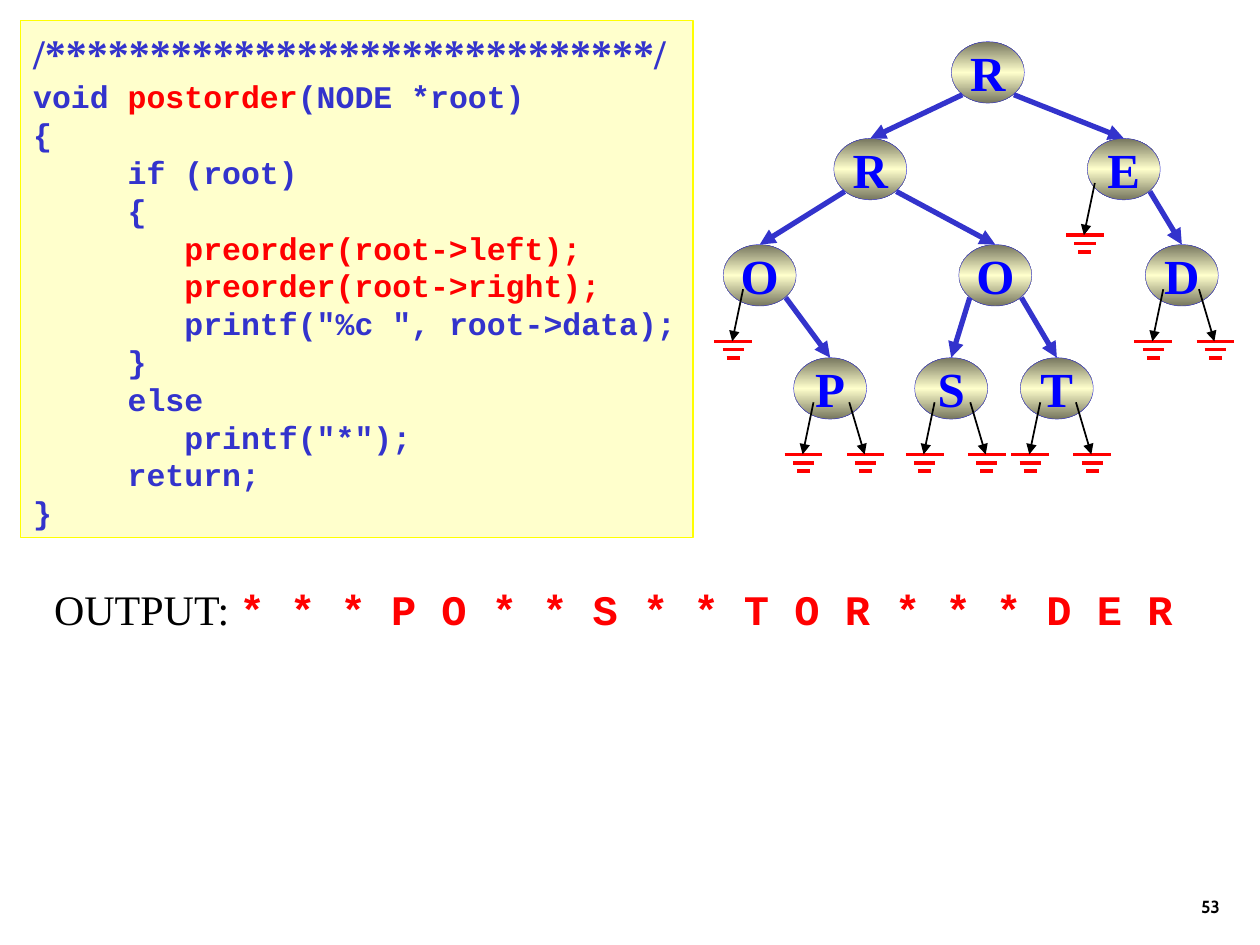
from copy import deepcopy

from lxml import etree
from pptx import Presentation
from pptx.dml.color import RGBColor
from pptx.enum.shapes import MSO_CONNECTOR, MSO_SHAPE
from pptx.enum.text import MSO_ANCHOR, MSO_AUTO_SIZE, PP_ALIGN
from pptx.oxml.ns import qn
from pptx.util import Cm, Pt

STRAIGHT = MSO_CONNECTOR.STRAIGHT
RECTANGLE, OVAL = MSO_SHAPE.RECTANGLE, MSO_SHAPE.OVAL
MIDDLE, BOTTOM = MSO_ANCHOR.MIDDLE, MSO_ANCHOR.BOTTOM
CENTER, RIGHT = PP_ALIGN.CENTER, PP_ALIGN.RIGHT
GROW = MSO_AUTO_SIZE.SHAPE_TO_FIT_TEXT

SERIF, MONO, SANS = "Times New Roman", "Courier New", "Cabin"
BLUE, RED, BLACK, CREAM = "3333CC", "FF0000", "000000", "FFFFCC"
LETTER_BLUE, OLIVE, YELLOW = "0000FF", "76765E", "FFFF00"

BANNER = "/*****************************/"
# Each code line is a list of (text, colour) pieces.
CODE = [
    [("void ", BLUE), ("postorder", RED), ("(NODE *root)", BLUE)],
    [("{", BLUE)],
    [("     if (root)", BLUE)],
    [("     {", BLUE)],
    [("        ", BLUE), ("preorder(root->left);", RED)],
    [("        ", BLUE), ("preorder(root->right);", RED)],
    [('        printf("%c ", root->data);', BLUE)],
    [("     }", BLUE)],
    [("     else", BLUE)],
    [('        printf("*");', BLUE)],
    [("     return;", BLUE)],
    [("}", BLUE)],
]
OUTPUT_LABEL = "OUTPUT: "
OUTPUT = "* * * P O * * S * * T O R * * * D E R"
PAGE_NUMBER = "53"

# key: (letter, left in cm, level, left child, right child, shift of null links)
TREE = {
    "root": ("R", 19.18, 0, "left", "right", 0),
    "left": ("R", 16.81, 1, "left-left", "left-right", 0),
    "right": ("E", 21.92, 1, None, "right-right", -0.25),
    "left-left": ("O", 14.58, 2, None, "P", 0),
    "left-right": ("O", 19.33, 2, "S", "T", 0),
    "right-right": ("D", 23.09, 2, None, None, -0.04),
    "P": ("P", 16, 3, None, None, 0),
    "S": ("S", 18.44, 3, None, None, 0),
    "T": ("T", 20.57, 3, None, None, 0),
}
LEVEL_TOPS = [0.84, 2.79, 4.93, 7.21]
NODE_WIDTH, NODE_HEIGHT = 1.47, 1.24
EDGE_STARTS, EDGE_DROP = (0.22, 1.26), 1.07
NULL_LINKS = ((0.4, 0.18), (1.12, 1.43))  # start and end x, left and right
NULL_START, NULL_END = 0.9, 1.95
GROUND_WIDTHS, GROUND_STEP = (0.76, 0.43, 0.26), 0.17


def rgb(color):
    return RGBColor.from_string(color)


def add_run(paragraph, text, size, font, color, bold=True):
    run = paragraph.add_run()
    run.text = text
    run.font.size, run.font.name, run.font.bold = Pt(size), font, bold
    run.font.color.rgb = rgb(color)


def add_line(shapes, start, end, color, width, arrow=False):
    line = shapes.add_connector(STRAIGHT, *map(Cm, start + end))
    line.line.color.rgb = rgb(color)
    line.line.width = Pt(width)
    if arrow:
        tail = etree.SubElement(line.line._get_or_add_ln(), qn("a:tailEnd"))
        tail.set("type", "triangle")
    etree.SubElement(line._element.spPr, qn("a:effectLst"))
    return line


def add_node(shapes, letter, left, top):
    node = shapes.add_shape(OVAL, Cm(left), Cm(top), Cm(NODE_WIDTH), Cm(NODE_HEIGHT))
    node.shadow.inherit = False
    node.fill.gradient()
    node.fill.gradient_angle = 90
    stop_list = node._element.spPr.find(".//" + qn("a:gsLst"))
    stop_list.append(deepcopy(stop_list[0]))
    for stop, position, color in zip(
        node.fill.gradient_stops, (0, 0.5, 1), (OLIVE, CREAM, OLIVE)
    ):
        stop.position, stop.color.rgb = position, rgb(color)
    node.line.color.rgb = rgb(BLUE)
    node.line.width = Pt(0.25)
    frame = node.text_frame
    frame.word_wrap, frame.vertical_anchor = False, MIDDLE
    frame.paragraphs[0].alignment = CENTER
    add_run(frame.paragraphs[0], letter, 28, SERIF, LETTER_BLUE)
    return node


def add_null_link(shapes, left, top, side):
    """Draw an arrow from a node down to a ground symbol."""
    start_x, end_x = (left + x for x in NULL_LINKS[side])
    ground_top = top + NULL_END
    for row, width in enumerate(GROUND_WIDTHS):
        y = ground_top + row * GROUND_STEP
        add_line(shapes, (end_x + 0.02 - width / 2, y),
                 (end_x + 0.02 + width / 2, y), RED, 2)
    add_line(shapes, (start_x, top + NULL_START), (end_x, ground_top), BLACK, 1, True)


def add_tree(shapes):
    nodes = {
        key: add_node(shapes, letter, left, LEVEL_TOPS[level])
        for key, (letter, left, level, *_) in TREE.items()
    }
    for _, left, level, *children, shift in TREE.values():
        top = LEVEL_TOPS[level]
        for side, child in enumerate(children):
            if child is None:
                add_null_link(shapes, left + shift, top, side)
                continue
            start = (left + EDGE_STARTS[side], top + EDGE_DROP)
            end = (TREE[child][1] + NODE_WIDTH / 2, LEVEL_TOPS[TREE[child][2]])
            edge = add_line(shapes, start, end, BLUE, 3, True)
            edge.end_connect(nodes[child], 0)


def add_code(shapes):
    panel = shapes.add_shape(RECTANGLE, Cm(0.42), Cm(0.42), Cm(13.55), Cm(10.42))
    panel.shadow.inherit = False
    panel.fill.solid()
    panel.fill.fore_color.rgb = rgb(CREAM)
    panel.line.color.rgb = rgb(YELLOW)
    panel.line.width = Pt(0.75)
    frame = panel.text_frame
    frame.word_wrap, frame.auto_size = True, GROW
    frame.vertical_anchor = MSO_ANCHOR.TOP
    frame.paragraphs[0].alignment = PP_ALIGN.LEFT
    add_run(frame.paragraphs[0], BANNER, 24, SERIF, BLUE)
    for pieces in CODE:
        paragraph = frame.add_paragraph()
        paragraph.alignment = PP_ALIGN.LEFT
        paragraph.line_spacing = Pt(21.6)
        for text, color in pieces:
            add_run(paragraph, text, 18, MONO, color)


def main():
    prs = Presentation()
    prs.slide_width, prs.slide_height = Cm(25.4), Cm(19.05)
    shapes = prs.slides.add_slide(prs.slide_layouts[6]).shapes

    page = shapes.add_textbox(Cm(19.56), Cm(17.35), Cm(5.28), Cm(1.27)).text_frame
    page.word_wrap, page.vertical_anchor = True, BOTTOM
    page.paragraphs[0].alignment = RIGHT
    add_run(page.paragraphs[0], PAGE_NUMBER, 10, SANS, BLACK)

    add_code(shapes)

    output = shapes.add_textbox(Cm(0.84), Cm(11.63), Cm(23.6), Cm(1.27)).text_frame
    output.word_wrap, output.auto_size = False, GROW
    add_run(output.paragraphs[0], OUTPUT_LABEL, 24, SERIF, BLACK, bold=False)
    add_run(output.paragraphs[0], OUTPUT, 24, MONO, RED)

    add_tree(shapes)
    prs.save("out.pptx")


if __name__ == "__main__":
    main()
